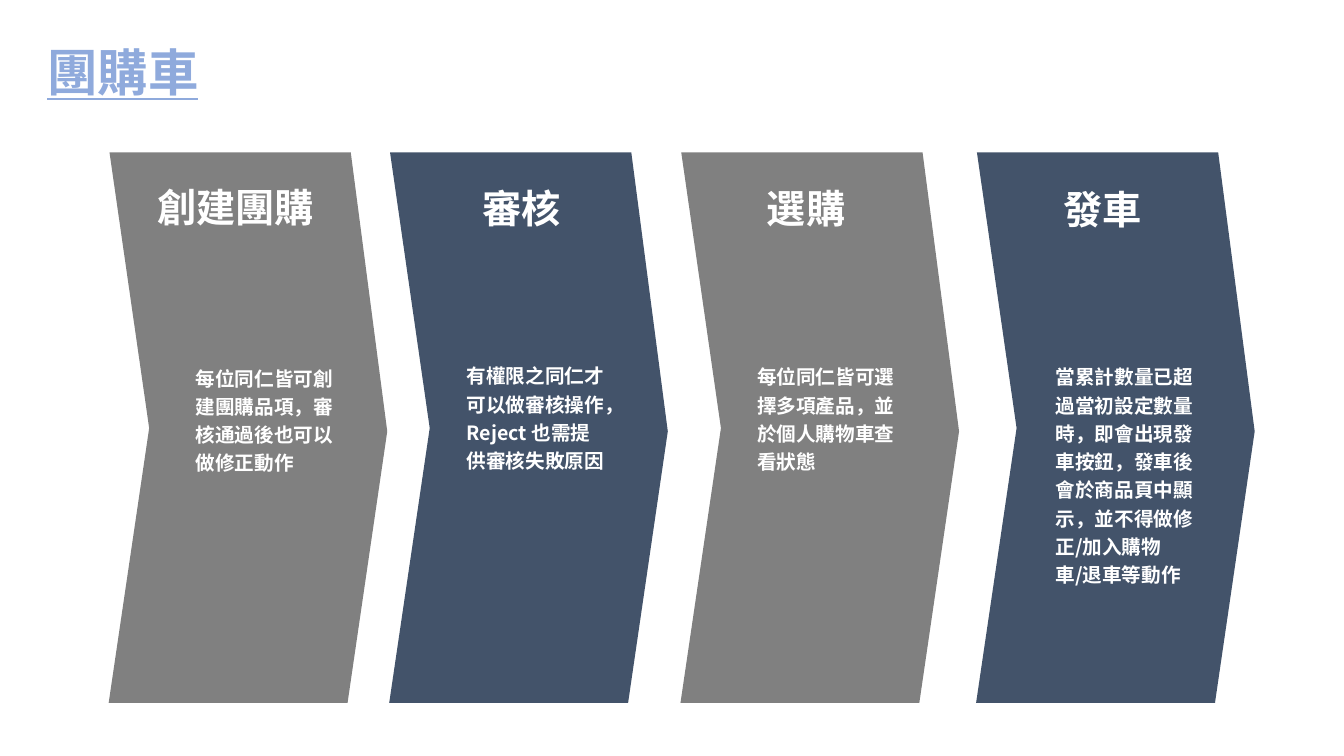
from pptx import Presentation
from pptx.dml.color import RGBColor
from pptx.enum.text import MSO_ANCHOR, MSO_AUTO_SIZE, PP_ALIGN
from pptx.oxml.ns import qn
from pptx.util import Cm, Pt
from lxml.etree import SubElement

# Content
TITLE = "團購車"
# head, body, arrow left, head left and top, body left, top and height
STEPS = [
    ("創建團購", "每位同仁皆可創建團購品項，審核通過後也可以做修正動作",
     2.74, (3.71, 4.42), (4.52, 8.92, 3.23)),
    ("審核", "有權限之同仁才可以做審核操作，Reject 也需提供審核失敗原因",
     9.81, (11.91, 4.45), (11.35, 8.86, 3.23)),
    ("選購", "每位同仁皆可選擇多項產品，並於個人購物車查看狀態",
     17.15, (19.08, 4.45), (18.67, 8.89, 3.23)),
    ("發車", "當累計數量已超過當初設定數量時，即會出現發車按鈕，"
     "發車後會於商品頁中顯示，並不得做修正/加入購物車/退車等動作",
     24.6, (26.54, 4.47), (26.19, 8.89, 6.1)),
]
COLORS = {"title": "8FAADC", "gray": "808080", "navy": "43536A", "text": "FFFFFF"}
FONT = "Noto Sans CJK SC"
TOP = 3.84
CHEVRON = [(0.02, 0), (1.02, 6.95), (0, 13.87), (6.02, 13.87), (7.02, 7.03), (6.1, 0)]


def color(name):
    return RGBColor.from_string(COLORS[name])


def write(box, text, size, tone, spacing, anchor, pad=(0.25, 0.13)):
    frame = box.text_frame
    frame.word_wrap = True
    frame.auto_size = MSO_AUTO_SIZE.NONE
    frame.vertical_anchor = anchor
    frame.margin_left = frame.margin_right = Cm(pad[0])
    frame.margin_top = frame.margin_bottom = Cm(pad[1])
    frame.text = text
    para = frame.paragraphs[0]
    para.alignment = PP_ALIGN.LEFT
    para.line_spacing = spacing
    font = para.font
    font.size, font.bold, font.name = Pt(size), True, FONT
    font.color.rgb = color(tone)
    # East Asian typeface
    SubElement(font._element, qn("a:ea"), typeface=FONT)
    return para


def place(slide, left, top, width, height):
    return slide.shapes.add_textbox(Cm(left), Cm(top), Cm(width), Cm(height))


def main():
    deck = Presentation()
    deck.slide_width, deck.slide_height = Cm(33.87), Cm(19.05)
    slide = deck.slides.add_slide(deck.slide_layouts[5])

    # Title
    title = slide.shapes.title
    title.left, title.top, title.width, title.height = Cm(0.94), Cm(0.81), Cm(11.2), Cm(1.83)
    para = write(title, TITLE, 36, "title", 1.1, MSO_ANCHOR.MIDDLE)
    para.font.underline = True

    # Arrows
    for i, (_, _, left, _, _) in enumerate(STEPS):
        points = [(Cm(left + x), Cm(TOP + y)) for x, y in CHEVRON]
        path = slide.shapes.build_freeform(*points[0])
        path.add_line_segments(points[1:], close=True)
        arrow = path.convert_to_shape()
        arrow.shadow.inherit = False
        arrow.fill.solid()
        arrow.fill.fore_color.rgb = color(("gray", "navy")[i % 2])
        arrow.line.fill.background()

    # Heads and bodies
    for head, body, _, spot, (left, top, height) in STEPS:
        write(place(slide, *spot, 5.08, 1.47), head, 28, "text", 1.1, MSO_ANCHOR.MIDDLE)
        para = write(place(slide, left, top, 4.42, height), body, 14, "text", 1.2,
                     MSO_ANCHOR.TOP, (0.41, 0.2))
        para.space_before = Pt(2.8)

    deck.save("out.pptx")


if __name__ == "__main__":
    main()
